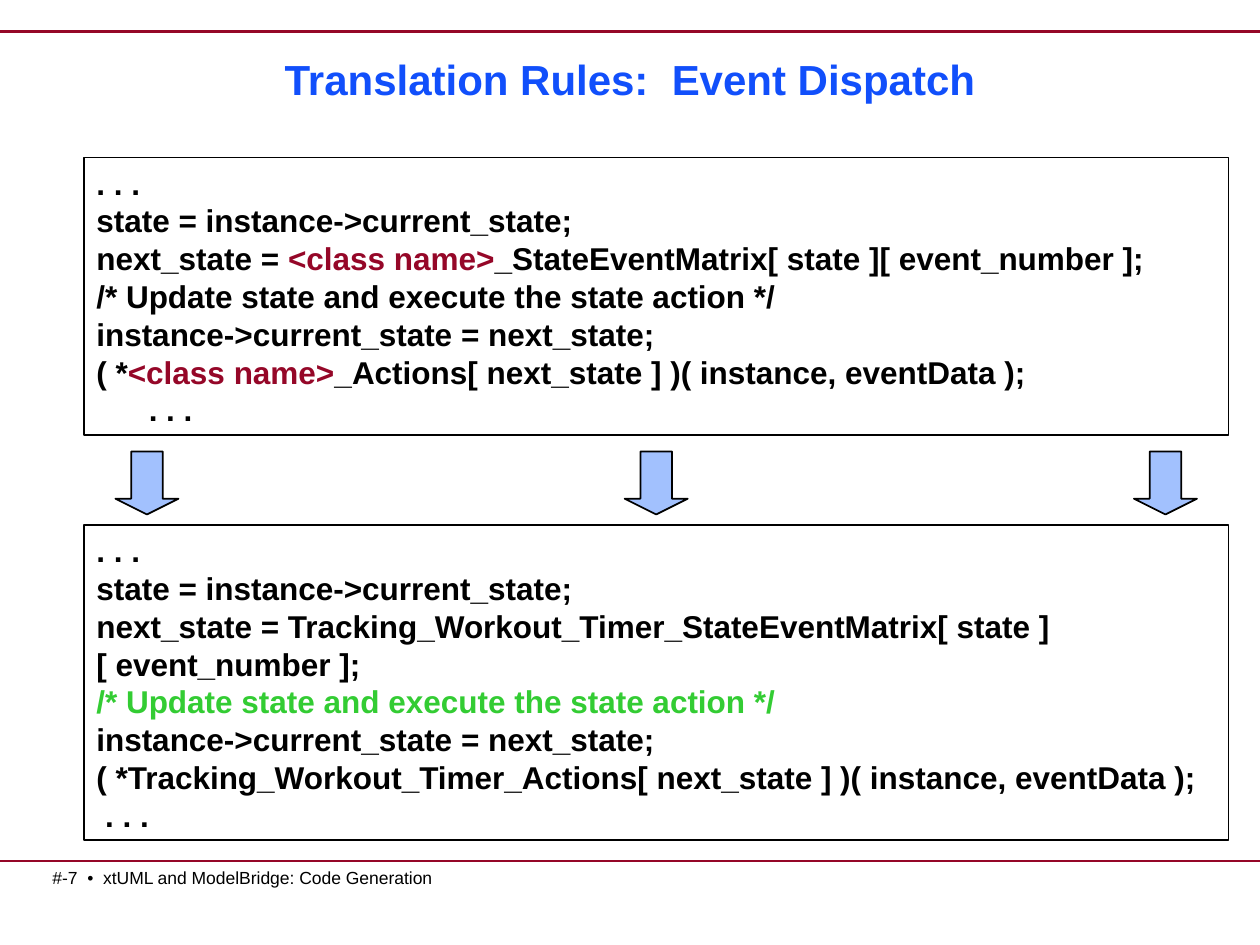
import pptx
import pptx.util
import pptx.dml.color
import pptx.enum.shapes
import pptx.enum.text
import pptx.oxml.ns
import lxml.etree

Pt = pptx.util.Pt
Kind = pptx.enum.shapes.MSO_SHAPE
Align = pptx.enum.text.PP_ALIGN
Anchor = pptx.enum.text.MSO_ANCHOR

HUES = {
    "black": "000000",
    "red": "950728",
    "blue": "114FFB",
    "green": "33CC33",
    "sky": "A2C1FE",
}


class Deck:
    """Holds the style and the current slide."""

    face = "Arial"

    def __init__(self, wide, high):
        self.file = pptx.Presentation()
        self.file.slide_width = Pt(wide)
        self.file.slide_height = Pt(high)
        self.slide = self.file.slides.add_slide(self.file.slide_layouts[6])

    def hue(self, name):
        return pptx.dml.color.RGBColor.from_string(HUES[name])

    def rule(self, y):
        line = self.slide.shapes.add_connector(
            pptx.enum.shapes.MSO_CONNECTOR.STRAIGHT,
            0, Pt(y), self.file.slide_width, Pt(y))
        line.line.color.rgb = self.hue("red")
        line.line.width = Pt(1.5)
        props = line._element.spPr
        lxml.etree.SubElement(props, pptx.oxml.ns.qn("a:effectLst"))

    def shape(self, kind, box, fill=None):
        item = self.slide.shapes.add_shape(kind, *map(Pt, box))
        item.shadow.inherit = False
        if fill:
            item.fill.solid()
            item.fill.fore_color.rgb = self.hue(fill)
        else:
            item.fill.background()
        item.line.color.rgb = self.hue("black")
        item.line.width = Pt(1)
        return item

    def text(self, para, parts, size, bold=False, align=Align.LEFT):
        """Fill a paragraph with (words, colour) parts."""
        para.alignment = align
        para.font.name = self.face
        para.font.size = Pt(size)
        para.font.bold = bold
        hues = {hue for _, hue in parts}
        if len(hues) == 1:
            para.font.color.rgb = self.hue(parts[0][1])
        for words, hue in parts:
            run = para.add_run()
            run.text = words
            if len(hues) > 1:
                run.font.color.rgb = self.hue(hue)

    def label(self, box, words, size, hue="black", bold=False,
              align=Align.LEFT, anchor=Anchor.TOP, side=7.2):
        frame = self.slide.shapes.add_textbox(*map(Pt, box)).text_frame
        frame.word_wrap = True
        frame.vertical_anchor = anchor
        frame.margin_left = frame.margin_right = Pt(side)
        self.text(frame.paragraphs[0], [(words, hue)], size, bold, align)

    def code(self, box, lines):
        frame = self.shape(Kind.RECTANGLE, box).text_frame
        frame.word_wrap = True
        frame.vertical_anchor = Anchor.TOP
        for i, parts in enumerate(lines):
            para = frame.add_paragraph() if i else frame.paragraphs[0]
            self.text(para, parts, 18, bold=True)

    def arrow(self, x, y, size):
        item = self.shape(Kind.DOWN_ARROW, (x, y, size, size), "sky")
        item.adjustments[0] = 0.5
        item.adjustments[1] = 0.25

    def save(self):
        self.file.save("out.pptx")


def event(name, hue, note, end):
    """Dispatch code for one class name, as coloured lines."""
    return [
        [(". . .", "black")],
        [("state = instance->current_state;", "black")],
        [("next_state = ", "black"), (name, hue),
         ("_StateEventMatrix[ state ][ event_number ];", "black")],
        [("/* Update state and execute the state action */", note)],
        [("instance->current_state = next_state;", "black")],
        [("( *", "black"), (name, hue),
         ("_Actions[ next_state ] )( instance, eventData );", "black")],
        [(end, "black")],
    ]


def main():
    deck = Deck(720, 540)

    # Frame lines and footer
    for y in (18, 492):
        deck.rule(y)
    deck.label((30, 492, 348, 19.5),
               "#-7  •  xtUML and ModelBridge: Code Generation", 10, side=0)

    # Title
    deck.label((12, 18, 696, 54), "Translation Rules:  Event Dispatch", 24,
               "blue", True, Align.CENTER, Anchor.MIDDLE)

    # Rule above, generated code below
    deck.code((48, 90, 654, 158.5),
              event("<class name>", "red", "black", "      . . ."))
    deck.code((48, 300, 654, 180),
              event("Tracking_Workout_Timer", "black", "green", " . . ."))

    # Arrows from rule to code
    for i in range(3):
        deck.arrow(66 + 291 * i, 258, 36)

    deck.save()


if __name__ == "__main__":
    main()
